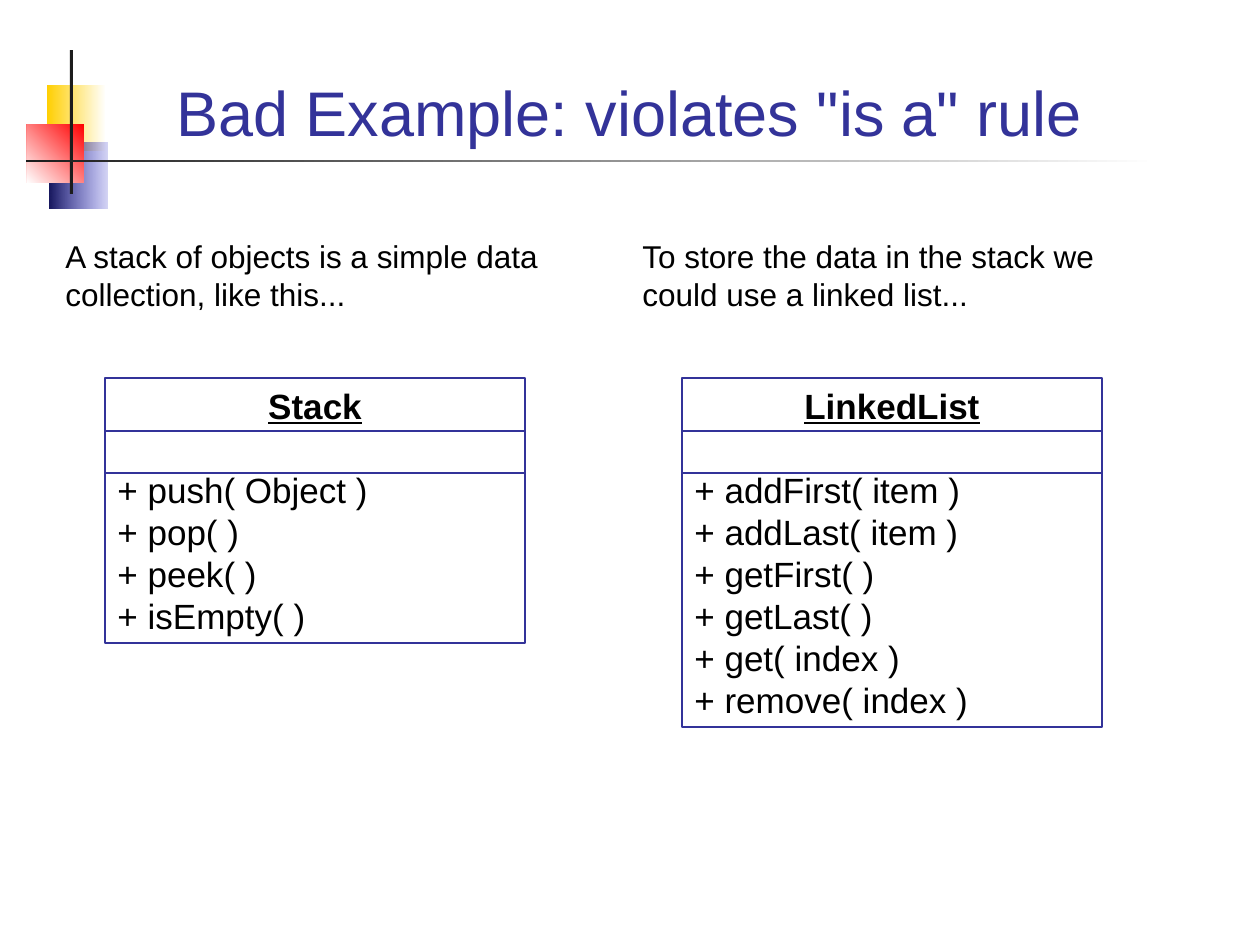
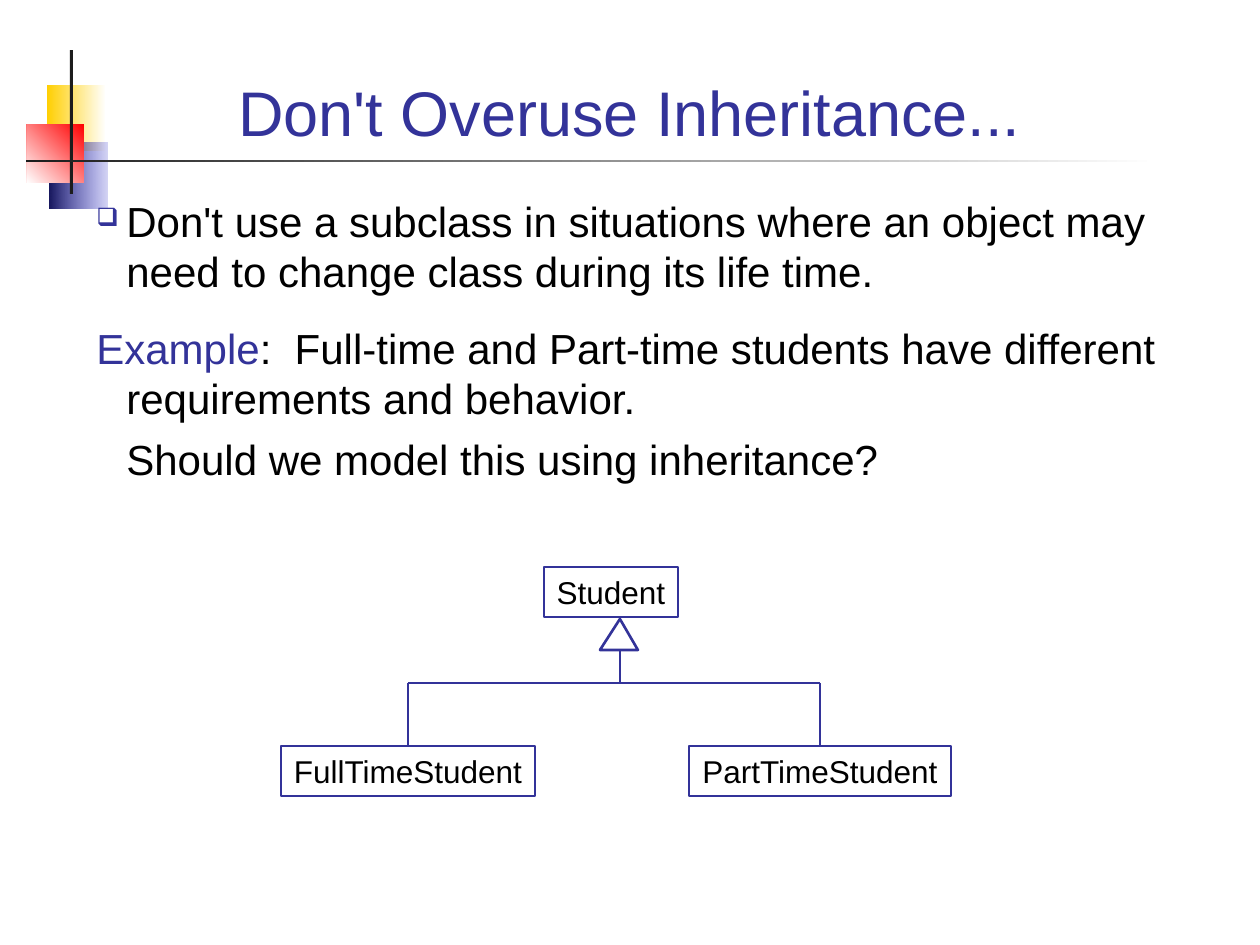
import pptx
import pptx.dml.color
import pptx.enum.shapes
import pptx.enum.text
import pptx.oxml.ns
import pptx.util
from lxml import etree

PX = 7257  # EMU in one px, 126 px to the inch
FONT = "Arial"
BLACK, WHITE, BLUE, INK = "000000", "FFFFFF", "333399", "1C1C1C"

rgb = pptx.dml.color.RGBColor.from_string
qn = pptx.oxml.ns.qn
RECT = pptx.enum.shapes.MSO_SHAPE.RECTANGLE
STRAIGHT = pptx.enum.shapes.MSO_CONNECTOR.STRAIGHT
CENTER = pptx.enum.text.PP_ALIGN.CENTER
TOP = pptx.enum.text.MSO_ANCHOR.TOP


def outline(sp, width):
    """Give a shape or connector a blue line and no shadow."""
    sp.line.color.rgb = rgb(BLUE)
    sp.line.width = pptx.util.Pt(width)
    etree.SubElement(sp.element.spPr, qn("a:effectLst"))


def add_run(p, text, size, color=BLACK):
    p.line_spacing = pptx.util.Pt(size * 1.2)
    r = p.add_run()
    r.text = text
    r.font.name = FONT
    r.font.size = pptx.util.Pt(size)
    r.font.color.rgb = rgb(color)
    return r


prs = pptx.Presentation()
prs.slide_width = pptx.util.Inches(10)
prs.slide_height = pptx.util.Inches(7.5)

# Shared title and corner ornament: box, start colour, end colour, angle
ornament = [
    ((47, 85, 59, 66), "FFCF01", WHITE, 0),
    ((49, 143, 58, 66), "17175E", "3333CC", 0),
    ((27, 124, 57, 59), "FF0000", WHITE, 225),
    ((70, 50, 3, 144), INK, INK, 0),
    ((26, 160, 1131, 2), INK, WHITE, 0),
]
titles = ['Bad Example: violates "is a" rule', "Don't Overuse Inheritance..."]
for title in titles:
    s = prs.slides.add_slide(prs.slide_layouts[5])
    for box, start, end, angle in ornament:
        sp = s.shapes.add_shape(RECT, *[PX * v for v in box])
        sp.shadow.inherit = False
        sp.line.fill.background()
        if start == end:
            sp.fill.solid()
            sp.fill.fore_color.rgb = rgb(start)
            continue
        sp.fill.gradient()
        sp.fill.gradient_angle = angle
        for stop, color in zip(sp.fill.gradient_stops, (start, end)):
            stop.color.rgb = rgb(color)
        if end == "3333CC":
            clear_end = sp.element.spPr.findall(".//" + qn("a:srgbClr"))[-1]
            etree.SubElement(clear_end, qn("a:alpha"), val="20000")

    sp = s.shapes.title
    sp.left, sp.top, sp.width, sp.height = [PX * v for v in (84, 35, 1091, 120)]
    tf = sp.text_frame
    tf.word_wrap = True
    tf.auto_size = pptx.enum.text.MSO_AUTO_SIZE.NONE
    tf.vertical_anchor = pptx.enum.text.MSO_ANCHOR.BOTTOM
    tf.paragraphs[0].alignment = CENTER
    add_run(tf.paragraphs[0], title, 36, BLUE)

# Slide 1: two class diagrams side by side
s = prs.slides[0]
classes = [
    (53, "A stack of objects is a simple data collection, like this...", "Stack",
     ["push( Object )", "pop( )", "peek( )", "isEmpty( )"]),
    (630, "To store the data in the stack we could use a linked list...", "LinkedList",
     ["addFirst( item )", "addLast( item )", "getFirst( )", "getLast( )",
      "get( index )", "remove( index )"]),
]
ROW, CLASS_TOP, CLASS_WIDTH = 42, 378, 420
for left, intro, name, methods in classes:
    class_left = left + 52
    height = ROW * (len(methods) + 2) + 13
    sp = s.shapes.add_shape(RECT, PX * class_left, PX * CLASS_TOP,
                            PX * CLASS_WIDTH, PX * height)
    sp.fill.background()
    outline(sp, 0.75)
    tf = sp.text_frame
    tf.word_wrap = True
    tf.vertical_anchor = TOP
    p = tf.paragraphs[0]
    p.alignment = CENTER
    r = add_run(p, name, 20)
    r.font.bold = r.font.underline = True
    for i, method in enumerate(methods):
        p = tf.add_paragraph()
        p.alignment = pptx.enum.text.PP_ALIGN.LEFT
        if i == 0:
            p.space_before = pptx.util.Pt(24)  # the empty attribute row
        add_run(p, "+ " + method, 20)

    for y in (CLASS_TOP + 53, CLASS_TOP + 53 + ROW):
        divider = s.shapes.add_connector(STRAIGHT, PX * class_left, PX * y,
                                         PX * (class_left + CLASS_WIDTH), PX * y)
        outline(divider, 0.75)

    tf = s.shapes.add_textbox(PX * left, PX * 231, PX * 536, PX * 88).text_frame
    tf.word_wrap = True
    add_run(tf.paragraphs[0], intro, 18)

# Slide 2: advice above an inheritance tree
s = prs.slides[1]
tf = s.shapes.add_textbox(PX * 84, PX * 189, PX * 1091, PX * 353).text_frame
tf.word_wrap = True
advice = [
    (0, -30, [("Don't use a subclass in situations where an object may need to "
               "change class during its life time.", BLACK)]),
    (15, -30, [("Example", BLUE),
               (":  Full-time and Part-time students have different "
                "requirements and behavior.", BLACK)]),
    (6, 0, [("Should we model this using inheritance?", BLACK)]),
]
for i, (before, indent, runs) in enumerate(advice):
    p = tf.add_paragraph() if i else tf.paragraphs[0]
    pPr = p._p.get_or_add_pPr()
    pPr.set("marL", str(PX * 30))
    pPr.set("indent", str(PX * indent))
    if i == 0:
        bullet_color = etree.SubElement(pPr, qn("a:buClr"))
        etree.SubElement(bullet_color, qn("a:srgbClr"), val=BLUE)
        etree.SubElement(pPr, qn("a:buSzPct"), val="60000")
        etree.SubElement(pPr, qn("a:buChar"), char="❑")
    else:
        p.space_before = pptx.util.Pt(before)
    for text, color in runs:
        add_run(p, text, 24, color)

tree = {}
for name, left, top, width in [("Student", 544, 567, 134),
                               ("PartTimeStudent", 689, 746, 262),
                               ("FullTimeStudent", 281, 746, 254)]:
    sp = tree[name] = s.shapes.add_shape(RECT, PX * left, PX * top, PX * width, PX * 50)
    sp.fill.background()
    outline(sp, 1.5)
    tf = sp.text_frame
    tf.word_wrap = False
    tf.vertical_anchor = TOP
    tf.paragraphs[0].alignment = CENTER
    add_run(tf.paragraphs[0], name, 18)

BAR, STEM, FULL, PART = 683, 620, 408, 820
for x1, y1, x2, y2, child in [(STEM, 650, STEM, BAR, None),
                              (FULL, BAR, PART, BAR, None),
                              (PART, BAR, PART, 746, "PartTimeStudent"),
                              (FULL, BAR, FULL, 746, "FullTimeStudent")]:
    branch = s.shapes.add_connector(STRAIGHT, *[PX * v for v in (x1, y1, x2, y2)])
    if child:
        branch.end_connect(tree[child], 0)
    outline(branch, 1.5)

fb = s.shapes.build_freeform(STEM, 619, scale=PX)
fb.add_line_segments([(638, 650), (600, 650)], close=True)
arrowhead = fb.convert_to_shape()
arrowhead.fill.solid()
arrowhead.fill.fore_color.rgb = rgb(WHITE)
outline(arrowhead, 1.5)

prs.save("out.pptx")
